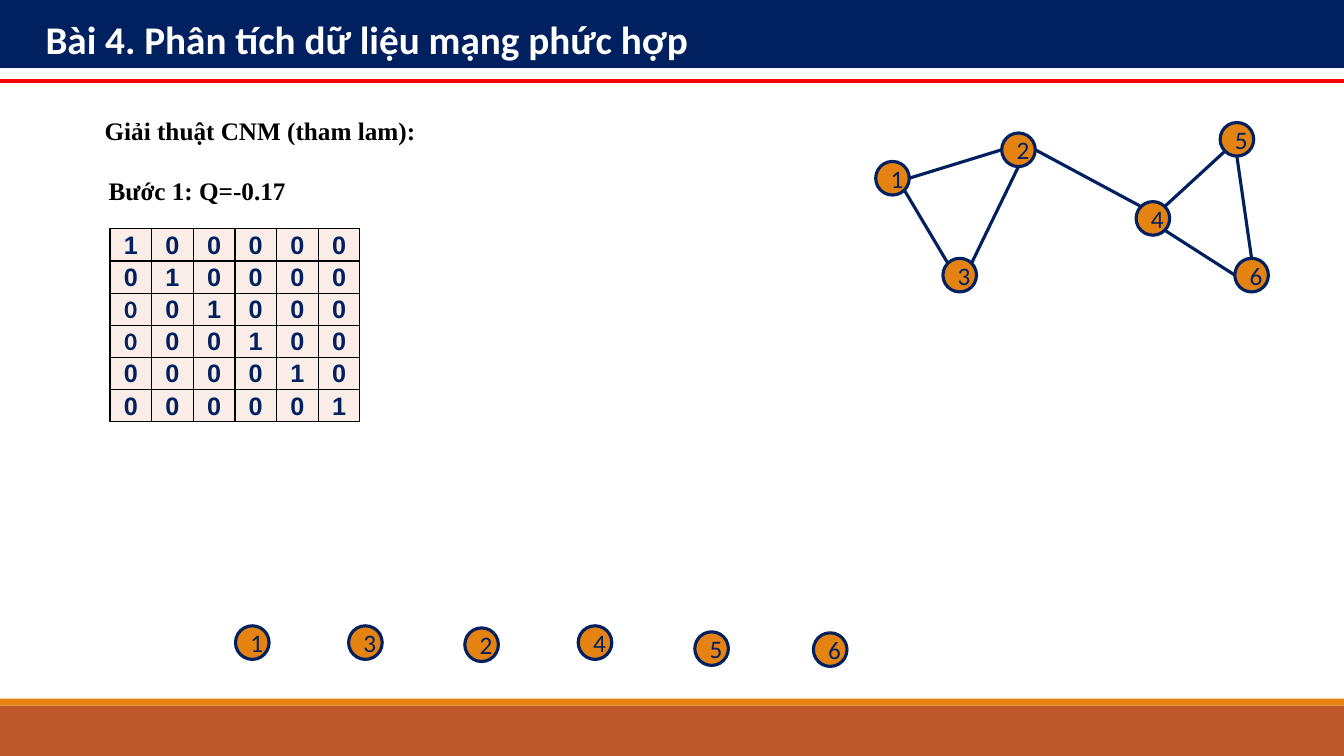
"""Build the slide on the first step of the greedy CNM algorithm."""
from dataclasses import dataclass
from math import cos, radians, sin
from typing import Any

from lxml import etree
from pptx import Presentation
from pptx import util as u
from pptx.dml import color
from pptx.enum import shapes, text
from pptx.oxml import ns


@dataclass(frozen=True)
class Theme:
    navy: str = "002060"
    orange: str = "E48312"
    rust: str = "BD582C"
    cream: str = "FAECE6"
    red: str = "FF0000"
    black: str = "000000"
    white: str = "FFFFFF"
    title_size: float = 28
    body_size: float = 18
    sans: str = "Calibri"
    serif: str = "Times New Roman"
    matrix: str = "Arial"


@dataclass(frozen=True)
class Box:
    left: float
    top: float
    width: float
    height: float

    def lengths(self) -> list[u.Length]:
        return [u.Pt(value) for value in (self.left, self.top, self.width, self.height)]


@dataclass(frozen=True)
class Node:
    label: str
    left: float
    top: float

    def rim(self, angle: float) -> tuple[float, float]:
        radius = NODE_SIZE / 2
        return (self.left + radius + radius * cos(radians(angle)),
                self.top + radius - radius * sin(radians(angle)))


@dataclass(frozen=True)
class Edge:
    start: str
    start_angle: float
    end: str
    end_angle: float


THEME = Theme()
NODE_SIZE = 24
LINE_WIDTH = 2.25
MATRIX_SIZE = 6
COLUMN_WIDTH, ROW_HEIGHT = 29.75, 23
CALIBRI_CELLS = {(2, 0), (3, 0)}

NETWORK = [Node("1", 625.5, 115.3), Node("2", 715.5, 95), Node("3", 673.5, 184.5),
           Node("4", 811.5, 144), Node("5", 871.5, 87.5), Node("6", 882, 184.5)]
EDGES = [Edge("1", 0, "2", 180), Edge("1", -45, "3", 135), Edge("2", -90, "3", 45),
         Edge("2", 0, "4", 135), Edge("4", 45, "5", -135), Edge("5", -90, "6", 90),
         Edge("4", -45, "6", 180)]
LEAVES = [Node("1", 168.2, 447), Node("3", 249, 447), Node("2", 332, 448.5),
          Node("4", 413, 447), Node("5", 496.3, 451.3), Node("6", 581, 452)]
HEADINGS = [("Giải thuật CNM (tham lam):", Box(67.7, 78.5, 239, 29)),
            ("Bước 1: Q=-0.17", Box(70.5, 121.7, 142.5, 29))]


def rgb(value: str) -> color.RGBColor:
    return color.RGBColor.from_string(value)


def apply(target: Any, values: dict[str, Any]) -> None:
    for name, value in values.items():
        setattr(target, name, value)


def write(frame: Any, words: str, font: str, size: float, ink: str, bold: bool,
          align: text.PP_ALIGN = text.PP_ALIGN.LEFT) -> Any:
    paragraph = frame.paragraphs[0]
    paragraph.alignment = align
    run = paragraph.add_run()
    run.text = words
    apply(run.font, {"name": font, "size": u.Pt(size), "bold": bold})
    run.font.color.rgb = rgb(ink)
    return paragraph


def add_block(slide: Any, kind: shapes.MSO_SHAPE, box: Box, fill: str) -> Any:
    shape = slide.shapes.add_shape(kind, *box.lengths())
    shape.shadow.inherit = False
    shape.fill.solid()
    shape.fill.fore_color.rgb = rgb(fill)
    shape.line.fill.background()
    return shape


def add_node(slide: Any, node: Node) -> None:
    box = Box(node.left, node.top, NODE_SIZE, NODE_SIZE)
    shape = add_block(slide, shapes.MSO_SHAPE.OVAL, box, THEME.orange)
    shape.line.color.rgb = rgb(THEME.navy)
    shape.line.width = u.Pt(LINE_WIDTH)
    apply(shape.text_frame, {"word_wrap": True, "vertical_anchor": text.MSO_ANCHOR.MIDDLE})
    write(shape.text_frame, node.label, THEME.sans, THEME.body_size, THEME.navy, False,
          text.PP_ALIGN.CENTER)


def add_line(slide: Any, start: tuple[float, float], end: tuple[float, float],
             ink: str, width: float) -> None:
    points = [u.Pt(value) for value in (*start, *end)]
    connector = slide.shapes.add_connector(shapes.MSO_CONNECTOR.STRAIGHT, *points)
    connector.line.color.rgb = rgb(ink)
    connector.line.width = u.Pt(width)
    etree.SubElement(connector._element.spPr, ns.qn("a:effectLst"))


def add_heading(slide: Any, words: str, box: Box) -> None:
    frame = slide.shapes.add_textbox(*box.lengths()).text_frame
    apply(frame, {"word_wrap": True, "auto_size": text.MSO_AUTO_SIZE.SHAPE_TO_FIT_TEXT})
    write(frame, words, THEME.serif, THEME.body_size, THEME.black, True)


def add_borders(cell: Any) -> None:
    properties = cell._tc.get_or_add_tcPr()
    for position, side in enumerate(("lnL", "lnR", "lnT", "lnB")):
        border = etree.Element(ns.qn(f"a:{side}"), w=str(u.Pt(1)))
        fill = etree.SubElement(border, ns.qn("a:solidFill"))
        etree.SubElement(fill, ns.qn("a:srgbClr"), val=THEME.black)
        properties.insert(position, border)


def add_matrix(slide: Any, left: float, top: float) -> None:
    box = Box(left, top, COLUMN_WIDTH * MATRIX_SIZE, ROW_HEIGHT * MATRIX_SIZE)
    table = slide.shapes.add_table(MATRIX_SIZE, MATRIX_SIZE, *box.lengths()).table
    apply(table, {"first_row": False, "horz_banding": False})
    margin = u.Pt(0.72)
    layout = {"margin_left": margin, "margin_right": margin, "margin_top": margin,
              "margin_bottom": 0, "vertical_anchor": text.MSO_ANCHOR.MIDDLE}
    for row in range(MATRIX_SIZE):
        for column in range(MATRIX_SIZE):
            cell = table.cell(row, column)
            apply(cell, layout)
            cell.fill.solid()
            cell.fill.fore_color.rgb = rgb(THEME.cream)
            add_borders(cell)
            font = THEME.sans if (row, column) in CALIBRI_CELLS else THEME.matrix
            write(cell.text_frame, str(int(row == column)), font, THEME.body_size,
                  THEME.navy, True, text.PP_ALIGN.CENTER)


def add_title(slide: Any, words: str) -> None:
    banner = add_block(slide, shapes.MSO_SHAPE.RECTANGLE, Box(0, 0, 960, 48.5), THEME.navy)
    apply(banner.text_frame, {"word_wrap": True, "margin_left": u.Pt(32.5),
                              "vertical_anchor": text.MSO_ANCHOR.BOTTOM})
    paragraph = write(banner.text_frame, words, THEME.sans, THEME.title_size,
                      THEME.white, True)
    paragraph.line_spacing = 0.85


def main() -> None:
    presentation = Presentation()
    apply(presentation, {"slide_width": u.Pt(960), "slide_height": u.Pt(540)})
    slide = presentation.slides.add_slide(presentation.slide_layouts[6])
    add_block(slide, shapes.MSO_SHAPE.RECTANGLE, Box(0, 504, 960, 36), THEME.rust)
    add_block(slide, shapes.MSO_SHAPE.RECTANGLE, Box(0, 499, 960, 5), THEME.orange)
    for words, box in HEADINGS:
        add_heading(slide, words, box)
    for node in NETWORK + LEAVES:
        add_node(slide, node)
    nodes = {node.label: node for node in NETWORK}
    for edge in EDGES:
        add_line(slide, nodes[edge.start].rim(edge.start_angle),
                 nodes[edge.end].rim(edge.end_angle), THEME.navy, LINE_WIDTH)
    add_matrix(slide, 78.6, 163.4)
    add_line(slide, (0, 58), (960, 58), THEME.red, 3)
    add_title(slide, "Bài 4. Phân tích dữ liệu mạng phức hợp")
    presentation.save("out.pptx")


if __name__ == "__main__":
    main()
